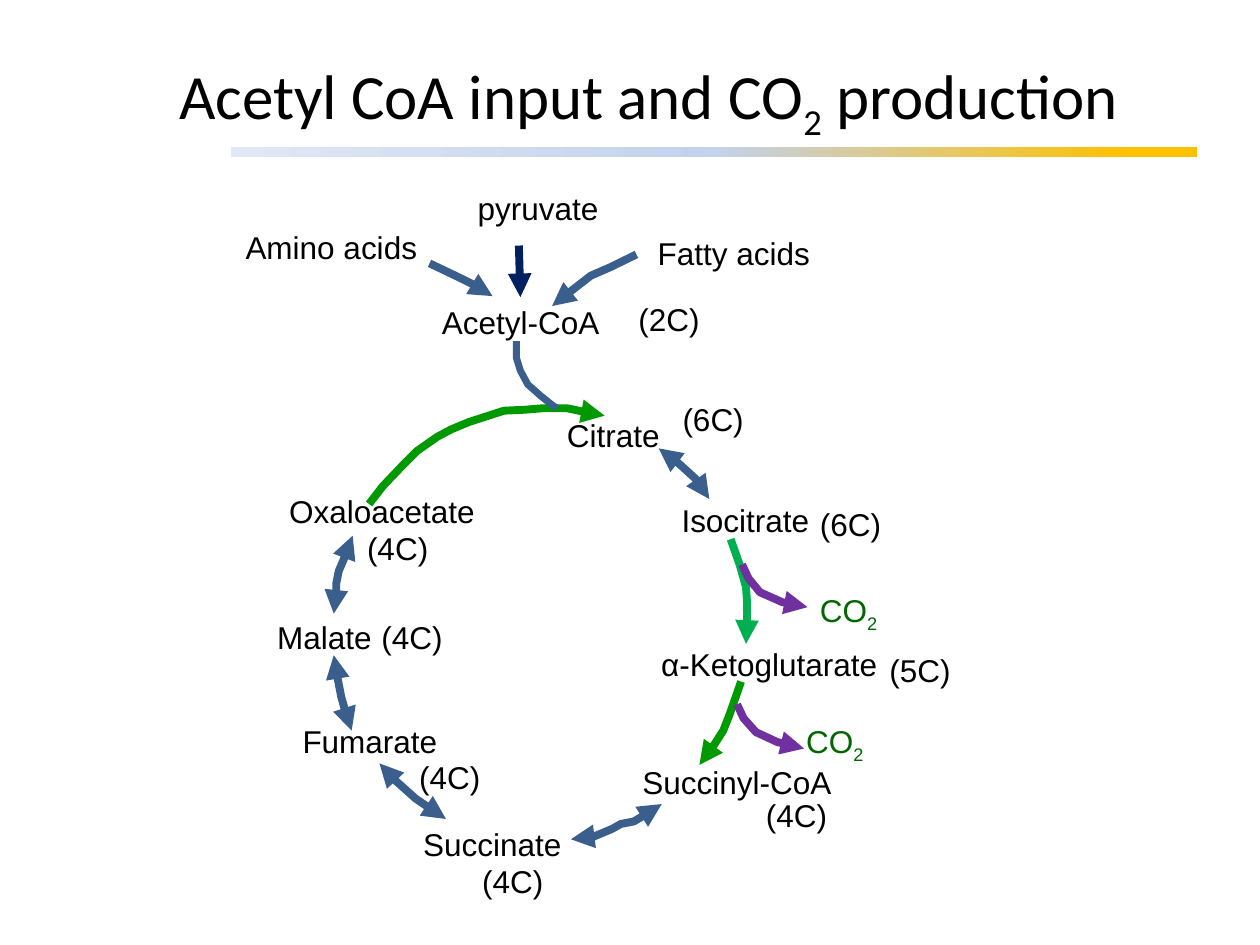
from copy import deepcopy

from lxml.etree import SubElement
from pptx import Presentation
from pptx.dml.color import RGBColor
from pptx.enum.shapes import MSO_CONNECTOR as Connector, MSO_SHAPE as Shape
from pptx.enum.text import MSO_ANCHOR as Anchor, MSO_AUTO_SIZE as AutoSize, PP_ALIGN as Align
from pptx.oxml.ns import qn
from pptx.util import Cm, Pt

COLORS = {
    "black": "000000", "co2": "006600", "green": "009900", "emerald": "00B050",
    "blue": "3A5F8C", "navy": "002060", "purple": "7030A0",
    "pale": "E1E8F5", "sky": "C2D1ED", "gold": "FFC000",
}
LABEL_HEIGHT = 1.03
CARBON_WIDTH = 2.34
CO2_WIDTH = 2.77

TITLE = "Acetyl CoA input and CO_2_ production"
BAR_STOPS = [(0, "pale"), (0.5, "sky"), (0.93, "gold")]

COMPOUNDS = [
    ("pyruvate", 9.38, 3.68, 3.61),
    ("Amino acids", 4.7, 4.47, 4.22),
    ("Fatty acids", 13.01, 4.6, 3.99),
    ("Acetyl-CoA", 8.66, 5.98, 4.62),
    ("Citrate", 11.18, 8.26, 4.62),
    ("Isocitrate", 13.49, 9.98, 4.62),
    ("α-Ketoglutarate", 13.08, 12.88, 5.54),
    ("Succinyl-CoA", 12.7, 15.25, 4.62),
    ("Succinate", 8.28, 16.51, 4.62),
    ("Fumarate", 5.85, 14.43, 4.62),
    ("Malate", 5.34, 12.34, 5.23),
    ("Oxaloacetate", 5.58, 9.79, 5.23),
]
CARBONS = [
    (2, 12.62, 5.92), (6, 13.51, 7.94), (6, 16.28, 10.06),
    (5, 17.68, 13), (4, 15.19, 15.93), (4, 9.47, 17.25),
    (4, 8.2, 15.15), (4, 7.44, 12.34), (4, 7.15, 10.54),
]
CO2_RELEASED = [(16.28, 11.79), (16, 14.43)]

PYRUVATE_ARROW = [(10.46, 4.95), (10.49, 5.99)]
REACTIONS = [
    ("green", "forward", [
        (7.44, 10.16), (7.72, 9.8), (8.13, 9.37), (8.41, 9.09), (8.81, 8.81),
        (9.09, 8.66), (9.45, 8.51), (10.16, 8.28), (10.59, 8.26),
        (10.95, 8.23), (11.43, 8.23), (11.81, 8.31), (12.19, 8.38)]),
    ("blue", "both", [
        (13.28, 9.04), (13.69, 9.35), (14.02, 9.65), (14.12, 9.83), (14.3, 10.06)]),
    ("emerald", "forward", [
        (14.73, 10.87), (14.91, 11.38), (15.04, 11.84), (15.06, 12.14),
        (15.06, 12.7), (15.04, 12.98)]),
    ("green", "forward", [
        (14.94, 13.74), (14.78, 14.2), (14.71, 14.4), (14.58, 14.73),
        (14.4, 15.01), (14.1, 15.42)]),
    ("blue", "both", [
        (13.34, 16.21), (13.08, 16.38), (12.78, 16.56), (12.52, 16.61),
        (12.34, 16.71), (11.96, 16.87), (11.71, 16.92), (11.51, 16.92)]),
    ("blue", "both", [
        (8.99, 16.51), (8.69, 16.31), (8.38, 16.1), (8.1, 15.85),
        (7.82, 15.6), (7.65, 15.39)]),
    ("blue", "both", [
        (7.09, 14.73), (6.96, 14.33), (6.88, 14.05), (6.81, 13.69), (6.73, 13.21)]),
    ("blue", "both", [
        (6.73, 12.37), (6.78, 11.96), (6.78, 11.76), (6.83, 11.51),
        (6.93, 11.28), (6.99, 11.07), (7.11, 10.8)]),
    ("blue", "none", [
        (10.41, 6.88), (10.41, 7.21), (10.49, 7.47), (10.64, 7.75),
        (10.9, 7.98), (11.15, 8.18), (11.23, 8.23)]),
    ("blue", "forward", [
        (12.83, 5.13), (12.32, 5.38), (11.91, 5.56), (11.51, 5.87), (11.13, 6.17)]),
    ("blue", "forward", [
        (8.66, 5.31), (9.04, 5.49), (9.35, 5.64), (9.65, 5.79), (9.93, 5.97)]),
    ("purple", "forward", [
        (14.96, 11.38), (15.09, 11.66), (15.32, 11.94), (15.77, 12.14), (16.28, 12.24)]),
    ("purple", "forward", [
        (14.86, 14.2), (14.99, 14.48), (15.24, 14.76), (15.67, 14.96), (16.21, 15.09)]),
]


def rgb(color):
    return RGBColor.from_string(COLORS[color])


def write(frame, text, size=18, font="Arial", color="black", align=Align.LEFT):
    paragraph = frame.paragraphs[0]
    paragraph.alignment = align
    for index, part in enumerate(text.split("_")):
        if not part:
            continue
        run = paragraph.add_run()
        run.text = part
        run.font.size = Pt(size)
        run.font.name = font
        run.font.color.rgb = rgb(color)
        if index % 2:
            run._r.get_or_add_rPr().set("baseline", "-25000")


def add_label(slide, text, left, top, width, **style):
    label = slide.shapes.add_textbox(Cm(left), Cm(top), Cm(width), Cm(LABEL_HEIGHT))
    label.text_frame.word_wrap = True
    label.text_frame.auto_size = AutoSize.SHAPE_TO_FIT_TEXT
    write(label.text_frame, text, **style)


def style_arrow(arrow, color, heads, weight=4.5):
    arrow.line.color.rgb = rgb(color)
    arrow.line.width = Pt(weight)
    line = arrow._element.spPr.find(qn("a:ln"))
    SubElement(line, qn("a:round"))
    if heads == "both":
        SubElement(line, qn("a:headEnd"), type="triangle")
    if heads != "none":
        SubElement(line, qn("a:tailEnd"), type="triangle")


def add_reaction(slide, color, heads, points):
    start, *bends = [(Cm(x), Cm(y)) for x, y in points]
    builder = slide.shapes.build_freeform(*start)
    builder.add_line_segments(bends, close=False)
    reaction = builder.convert_to_shape()
    reaction.fill.background()
    reaction.shadow.inherit = False
    style_arrow(reaction, color, heads, 4 if heads == "none" else 4.5)


def add_bar(slide):
    bar = slide.shapes.add_shape(Shape.RECTANGLE, Cm(4.65), Cm(2.97), Cm(19.48), Cm(0.2))
    bar.shadow.inherit = False
    bar.line.fill.background()
    bar.fill.gradient()
    bar.fill.gradient_angle = 0
    first = bar._element.spPr.find(".//" + qn("a:gs"))
    first.addnext(deepcopy(first))
    for stop, (position, color) in zip(bar.fill.gradient_stops, BAR_STOPS):
        stop.position = position
        stop.color.rgb = rgb(color)


def add_title(slide):
    title = slide.shapes.title
    title.left, title.top, title.width, title.height = Cm(0.84), Cm(0.42), Cm(24.46), Cm(3.18)
    title.text_frame.vertical_anchor = Anchor.MIDDLE
    write(title.text_frame, TITLE, size=36, font="Calibri", align=Align.CENTER)


def main():
    deck = Presentation()
    deck.slide_width, deck.slide_height = Cm(25.4), Cm(19.05)
    slide = deck.slides.add_slide(deck.slide_layouts[5])
    add_title(slide)
    add_bar(slide)
    for reaction in REACTIONS:
        add_reaction(slide, *reaction)
    start, end = PYRUVATE_ARROW
    pyruvate_arrow = slide.shapes.add_connector(
        Connector.STRAIGHT, *(Cm(value) for value in start + end))
    style_arrow(pyruvate_arrow, "navy", "forward")
    SubElement(pyruvate_arrow._element.spPr, qn("a:effectLst"))
    for compound in COMPOUNDS:
        add_label(slide, *compound)
    for count, left, top in CARBONS:
        add_label(slide, f"({count}C)", left, top, CARBON_WIDTH)
    for left, top in CO2_RELEASED:
        add_label(slide, "CO_2", left, top, CO2_WIDTH, color="co2")
    deck.save("out.pptx")


if __name__ == "__main__":
    main()
